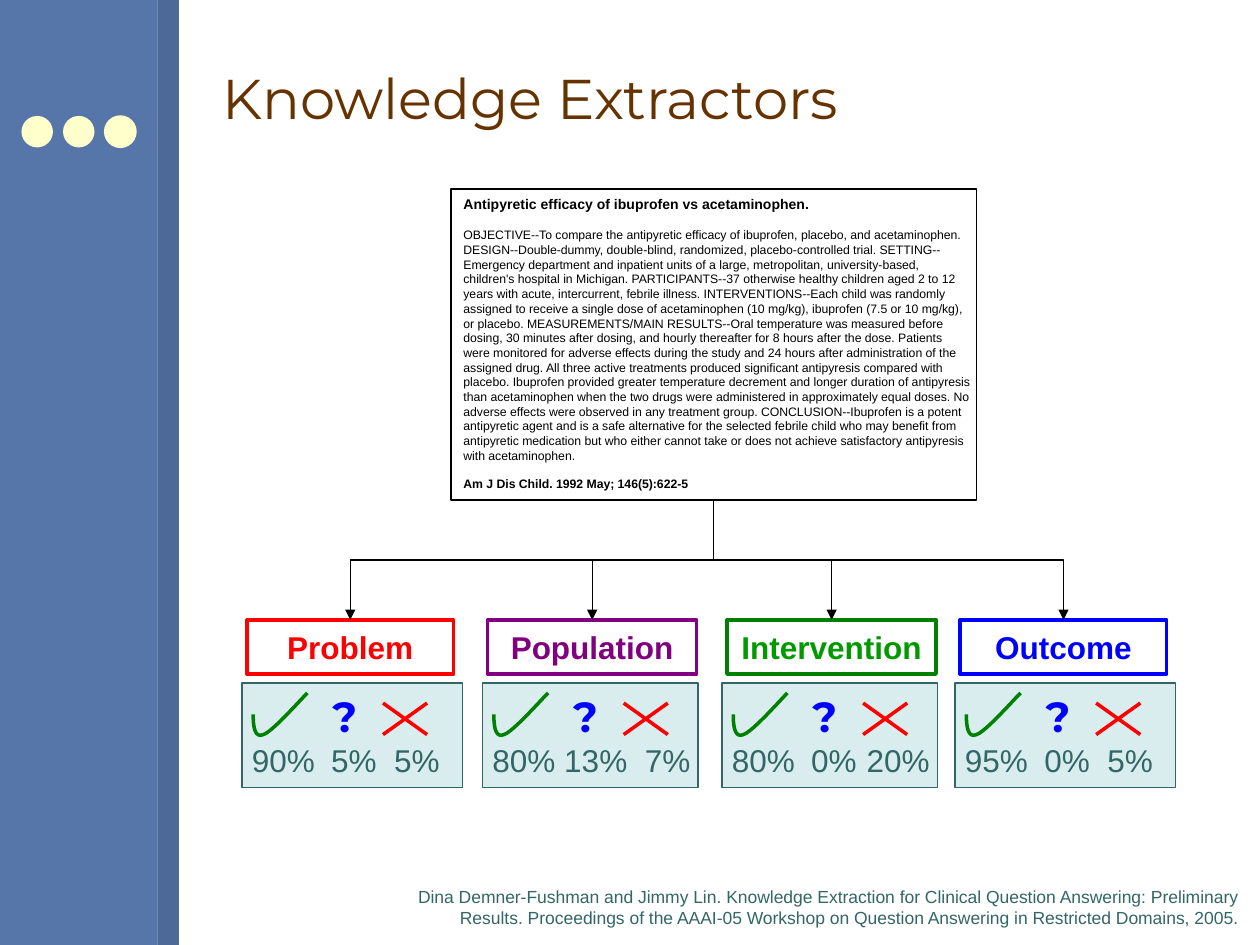
"""Builds the Knowledge Extractors slide."""
from lxml import etree
from pptx import Presentation
from pptx.dml.color import RGBColor
from pptx.enum import shapes, text
from pptx.oxml import ns
from pptx.util import Inches, Pt

SIDEBAR = RGBColor(0x56, 0x75, 0xA9)
SIDEBAR_EDGE = RGBColor(0x4D, 0x69, 0x97)
CREAM = RGBColor(0xFF, 0xFF, 0xCC)
BROWN = RGBColor(0x66, 0x33, 0x00)
PALE = RGBColor(0xD9, 0xED, 0xEF)
TEAL = RGBColor(0x33, 0x66, 0x66)
RED = RGBColor(0xFF, 0x00, 0x00)
PURPLE = RGBColor(0x80, 0x00, 0x80)
GREEN = RGBColor(0x00, 0x80, 0x00)
LIGHT_GREEN = RGBColor(0x00, 0x99, 0x00)
BLUE = RGBColor(0x00, 0x00, 0xFF)
BLACK = RGBColor(0x00, 0x00, 0x00)

RECT = shapes.MSO_SHAPE.RECTANGLE
OVAL = shapes.MSO_SHAPE.OVAL
LEFT, CENTER, RIGHT = text.PP_ALIGN.LEFT, text.PP_ALIGN.CENTER, text.PP_ALIGN.RIGHT
TOP, MIDDLE = text.MSO_ANCHOR.TOP, text.MSO_ANCHOR.MIDDLE

ABSTRACT_TITLE = "Antipyretic efficacy of ibuprofen vs acetaminophen."
ABSTRACT_PARTS = [
    "OBJECTIVE--To compare the antipyretic efficacy of ibuprofen, placebo, and acetaminophen.",
    "DESIGN--Double-dummy, double-blind, randomized, placebo-controlled trial.",
    "SETTING--Emergency department and inpatient units of a large, metropolitan, "
    "university-based, children's hospital in Michigan.",
    "PARTICIPANTS--37 otherwise healthy children aged 2 to 12 years with acute, intercurrent, "
    "febrile illness.",
    "INTERVENTIONS--Each child was randomly assigned to receive a single dose "
    "of acetaminophen (10 mg/kg), ibuprofen (7.5 or 10 mg/kg), or placebo.",
    "MEASUREMENTS/MAIN RESULTS--Oral temperature was measured before dosing, 30 minutes after "
    "dosing, and hourly thereafter for 8 hours after the dose. Patients were monitored for "
    "adverse effects during the study and 24 hours after administration of the assigned drug. "
    "All three active treatments produced significant antipyresis compared with placebo.",
    "Ibuprofen provided greater temperature decrement and longer duration of antipyresis than "
    "acetaminophen when the two drugs were administered in approximately equal doses. "
    "No adverse effects were observed in any treatment group.",
    "CONCLUSION--Ibuprofen is a potent antipyretic agent and is a safe alternative for the "
    "selected febrile child who may benefit from antipyretic medication but who either cannot "
    "take or does not achieve satisfactory antipyresis with acetaminophen.",
]
ABSTRACT_SOURCE = "Am J Dis Child. 1992 May; 146(5):622-5"
CITATION = (
    "Dina Demner-Fushman and Jimmy Lin. Knowledge Extraction for Clinical Question Answering: "
    "Preliminary Results. Proceedings of the AAAI-05 Workshop on Question Answering in "
    "Restricted Domains, 2005."
)

EXTRACTORS = [
    ("Problem", RED, RED, 1.92, 1.75, 1.64, ("90%", "5%", "5%"), (0.63, 1.13)),
    ("Population", PURPLE, PURPLE, 3.83, 1.71, 1.66, ("80%", "13%", "7%"), (0.57, 1.21)),
    ("Intervention", GREEN, LIGHT_GREEN, 5.73, 1.71, 1.66, ("80%", "0%", "20%"), (0.63, 1.07)),
    ("Outcome", BLUE, BLUE, 7.58, 1.75, 1.64, ("95%", "0%", "5%"), (0.63, 1.13)),
]
TICK_CURVES = [
    ((0, 0.17), (0, 0.26), (0.01, 0.36), (0.08, 0.33)),
    ((0.08, 0.33), (0.15, 0.31), (0.37, 0.06), (0.43, 0)),
]


def add_block(parent, kind, left, top, width, height, fill=None, line=None, weight=0.75):
    """Add a preset shape with an optional fill and outline."""
    block = parent.shapes.add_shape(kind, Inches(left), Inches(top), Inches(width), Inches(height))
    block.shadow.inherit = False
    if fill is None:
        block.fill.background()
    else:
        block.fill.solid()
        block.fill.fore_color.rgb = fill
    if line is None:
        block.line.fill.background()
    else:
        block.line.color.rgb = line
        block.line.width = Pt(weight)
    return block


def style_paragraph(para, words, size, color, bold=False, font="Arial", align=LEFT):
    """Write words into a paragraph and set its font."""
    para.text = words
    para.alignment = align
    para.font.size = Pt(size)
    para.font.name = font
    para.font.bold = bold
    para.font.color.rgb = color


def add_text(parent, words, left, top, width, height, size, color, wrap=True, anchor=TOP,
             stops=(), **style):
    """Add a text box holding one paragraph, with optional tab stops."""
    box = parent.shapes.add_textbox(Inches(left), Inches(top), Inches(width), Inches(height))
    frame = box.text_frame
    frame.word_wrap = wrap
    frame.vertical_anchor = anchor
    para = frame.paragraphs[0]
    if stops:
        tabs = etree.SubElement(para._p.get_or_add_pPr(), ns.qn("a:tabLst"))
        for stop in stops:
            etree.SubElement(tabs, ns.qn("a:tab"), pos=str(Inches(stop)), algn="l")
    style_paragraph(para, words, size, color, **style)


def add_line(parent, kind, start, end, color, weight):
    """Add a connector without a shadow."""
    line = parent.shapes.add_connector(kind, *(Inches(value) for value in (*start, *end)))
    line.line.color.rgb = color
    line.line.width = Pt(weight)
    etree.SubElement(line._element.spPr, ns.qn("a:effectLst"))
    return line


def add_branch(page, source, target):
    """Join source to target with an elbow arrow that leaves downwards."""
    branch = add_line(page, shapes.MSO_CONNECTOR.ELBOW, (0, 0), (1, 1), BLACK, 0.75)
    branch.begin_connect(source, 2)
    branch.end_connect(target, 0)
    start_x, start_y = source.left + source.width // 2, source.top + source.height
    end_x, end_y = target.left + target.width // 2, target.top
    drop, reach = end_y - start_y, abs(end_x - start_x)
    branch.left = (start_x + end_x - drop) // 2
    branch.top = (start_y + end_y - reach) // 2
    branch.width, branch.height = drop, reach
    rightward = end_x > start_x
    frame = branch._element.spPr.find(ns.qn("a:xfrm"))
    frame.set("rot", str((270 if rightward else 90) * 60000))
    frame.set("flipH", "1" if rightward else "0")
    frame.set("flipV", "0")
    etree.SubElement(branch.line._get_or_add_ln(), ns.qn("a:tailEnd"), type="triangle")


def curve_point(curve, t):
    """Return the point at t on a cubic curve."""
    weights = ((1 - t) ** 3, 3 * t * (1 - t) ** 2, 3 * t * t * (1 - t), t ** 3)
    return tuple(sum(w * p[axis] for w, p in zip(weights, curve)) for axis in (0, 1))


def add_tick(parent, left, top):
    """Draw a curved green tick."""
    points = [curve_point(curve, step / 12) for curve in TICK_CURVES for step in range(13)]
    points = [(Inches(left + x), Inches(top + y)) for x, y in points]
    builder = parent.shapes.build_freeform(*points[0])
    builder.add_line_segments(points[1:], close=False)
    tick = builder.convert_to_shape()
    tick.shadow.inherit = False
    tick.fill.background()
    tick.line.color.rgb = GREEN
    tick.line.width = Pt(2)


def add_scores(page, left, width, scores, stops):
    """Add a panel with the three marks and their percentages."""
    panel = page.shapes.add_group_shape()
    add_block(panel, RECT, left, 5.42, width, 0.83, PALE, TEAL)
    add_tick(panel, left + 0.09, 5.5)
    add_text(panel, "?", left + 0.62, 5.43, 0.36, 0.5, 24, BLUE, wrap=False,
             bold=True, font="Montserrat")
    for start_y, end_y in ((5.58, 5.83), (5.83, 5.58)):
        add_line(panel, shapes.MSO_CONNECTOR.STRAIGHT, (left + 1.12, start_y),
                 (left + 1.47, end_y), RED, 2)
    add_text(panel, "\t".join(scores), left - 0.02, 5.83, 1.77, 0.4, 18, TEAL, stops=stops)


def add_label(page, name, outline, color, left, width):
    """Add the outlined name of an extractor."""
    label = add_block(page, RECT, left, 4.92, width, 0.43, line=outline, weight=2)
    label.text_frame.word_wrap = False
    style_paragraph(label.text_frame.paragraphs[0], name, 18, color, bold=True, align=CENTER)
    return label


def add_abstract(page):
    """Add the framed abstract."""
    abstract = add_block(page, RECT, 3.58, 1.5, 4.17, 2.47, line=BLACK, weight=1)
    frame = abstract.text_frame
    frame.word_wrap = True
    frame.vertical_anchor = TOP
    frame.margin_right = Inches(0.05)
    rows = [(ABSTRACT_TITLE, 8, True, 0), (" ".join(ABSTRACT_PARTS), 7, False, 9),
            (ABSTRACT_SOURCE, 7, True, 8)]
    for index, (words, size, bold, gap) in enumerate(rows):
        para = frame.add_paragraph() if index else frame.paragraphs[0]
        style_paragraph(para, words, size, BLACK, bold)
        if index:
            para.space_before = Pt(gap)
    return abstract


def main():
    """Build and save the deck."""
    deck = Presentation()
    deck.slide_width, deck.slide_height = Inches(10), Inches(7.5)
    page = deck.slides.add_slide(deck.slide_layouts[6])
    add_block(page, RECT, 0, 0, 1.25, 7.5, SIDEBAR)
    add_block(page, RECT, 1.25, 0, 0.17, 7.5, SIDEBAR_EDGE)
    for left, line in ((0.17, None), (0.5, None), (0.83, CREAM)):
        add_block(page, OVAL, left, 0.92, 0.25, 0.25, CREAM, line)
    add_text(page, "Knowledge Extractors", 1.67, 0.21, 8, 1.13, 32, BROWN, anchor=MIDDLE,
             font="Montserrat")
    abstract = add_abstract(page)
    for name, outline, color, left, width, label_width, scores, stops in EXTRACTORS:
        add_scores(page, left, width, scores, stops)
        label = add_label(page, name, outline, color, left + 0.04, label_width)
        add_branch(page, abstract, label)
    add_text(page, CITATION, 3, 6.98, 6.92, 0.44, 10, TEAL, align=RIGHT)
    deck.save("out.pptx")


if __name__ == "__main__":
    main()
